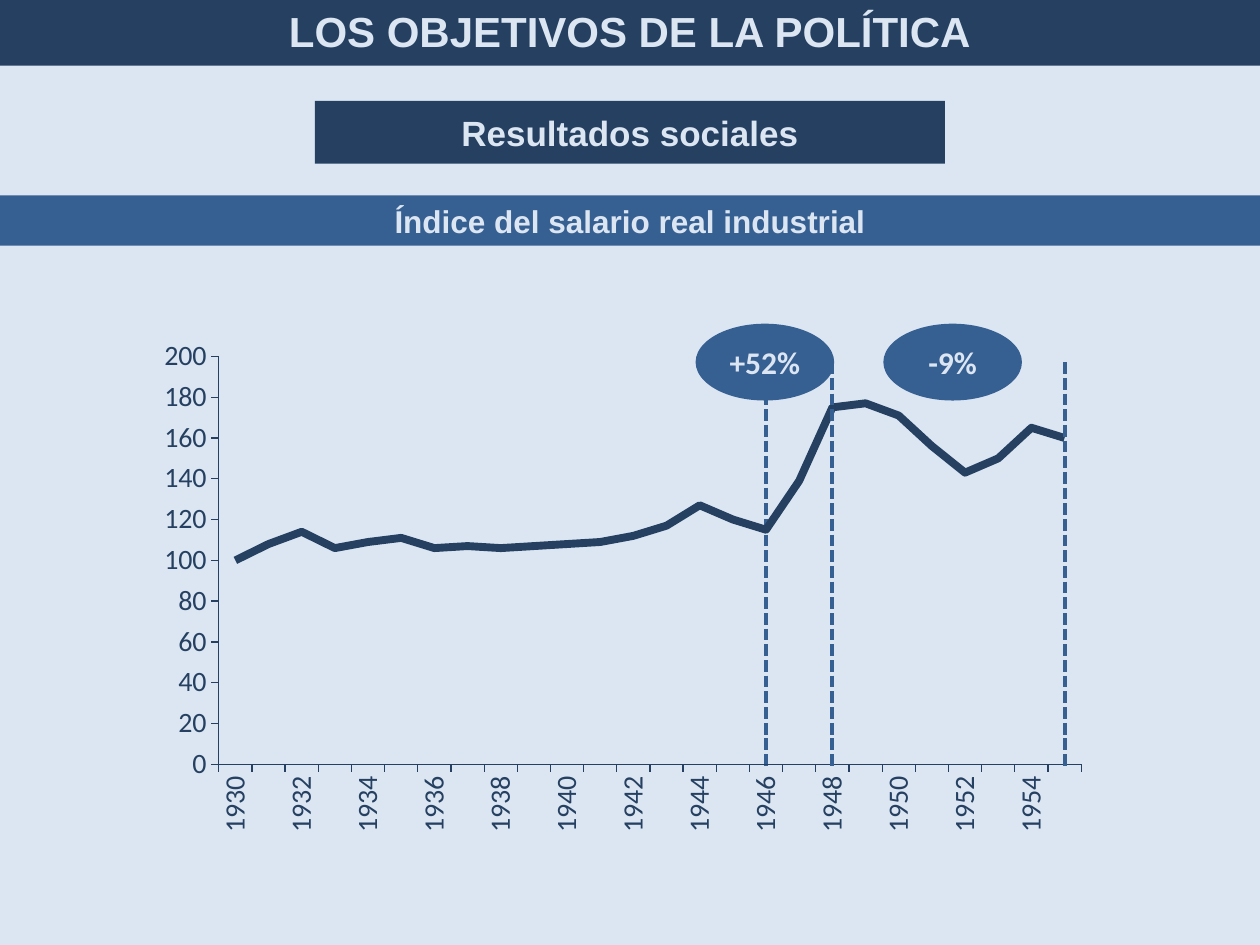
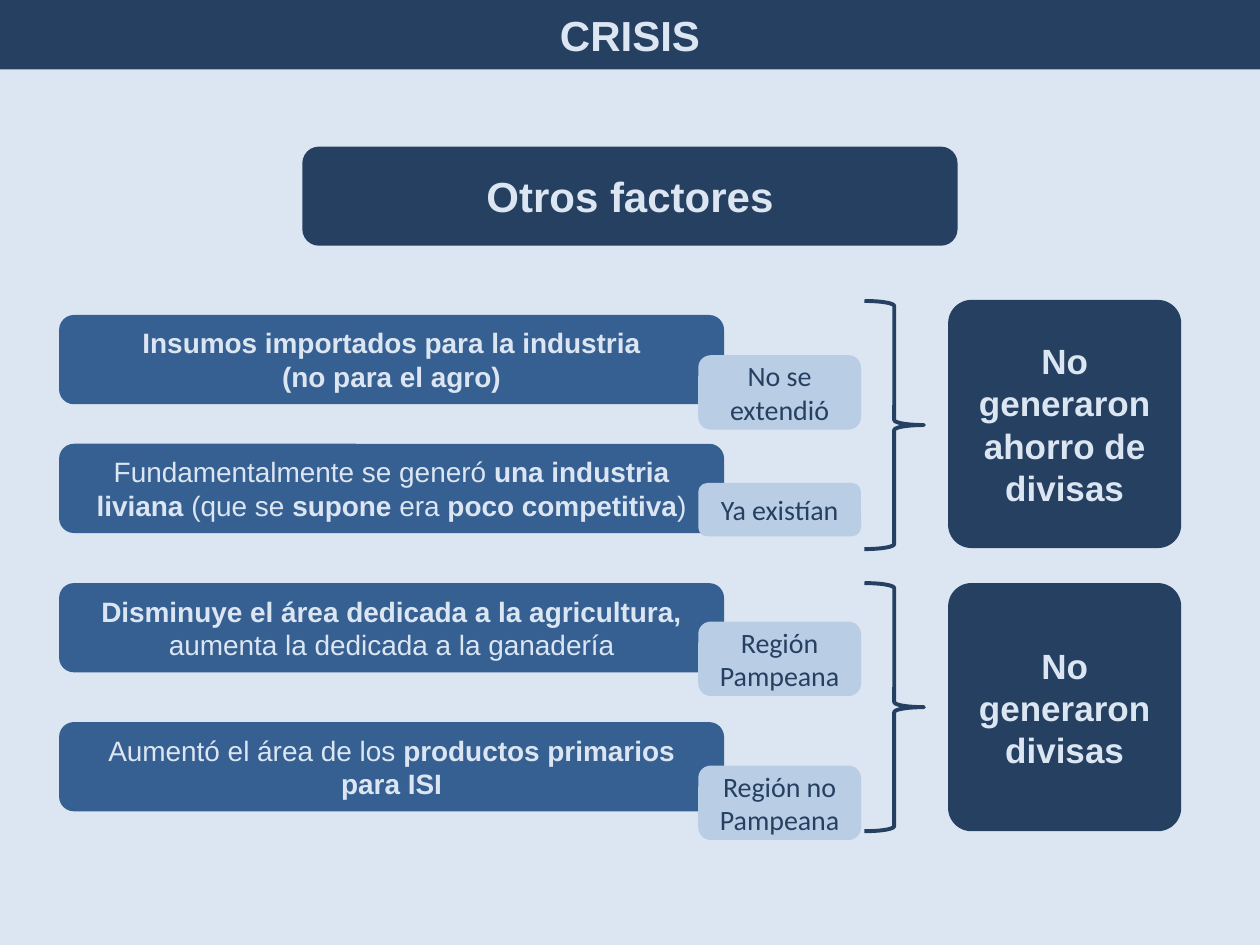
import pptx
import pptx.chart.data
import pptx.dml.color
import pptx.enum.chart
import pptx.enum.dml
import pptx.enum.shapes
import pptx.enum.text
import pptx.oxml
import pptx.oxml.ns
import pptx.util
from dataclasses import dataclass

Pt = pptx.util.Pt
Color = pptx.dml.color.RGBColor.from_string
Shape = pptx.enum.shapes.MSO_SHAPE


@dataclass(frozen=True)
class Theme:
    pale: Color = Color("DCE6F2")
    light: Color = Color("B9CDE5")
    mid: Color = Color("376092")
    dark: Color = Color("254061")
    heading: str = "Arial"
    body: str = "Calibri"
    title_size: int = 24
    box_size: int = 20
    label_size: int = 18
    text_size: int = 16
    line: float = 2.25


theme = Theme()


def write(shape, text, size, font=theme.heading, color=theme.pale, bold=True):
    """Fill a shape with centred text; *stars* switch bold on inside a line."""
    frame = shape.text_frame
    frame.word_wrap = True
    frame.vertical_anchor = pptx.enum.text.MSO_ANCHOR.MIDDLE
    for number, line in enumerate(text.split("\n")):
        para = frame.add_paragraph() if number else frame.paragraphs[0]
        para.alignment = pptx.enum.text.PP_ALIGN.CENTER
        para.font.name = font
        para.font.size = Pt(size)
        para.font.color.rgb = color
        parts = line.split("*")
        if len(parts) == 1:
            para.font.bold = bold
        for position, part in enumerate(parts):
            if part:
                span = para.add_run()
                span.text = part
                if len(parts) > 1:
                    span.font.bold = position % 2 == 1


def add_block(page, kind, left, top, width, height, fill):
    box = page.shapes.add_shape(kind, Pt(left), Pt(top), Pt(width), Pt(height))
    box.shadow.inherit = False
    box.fill.solid()
    box.fill.fore_color.rgb = fill
    box.line.fill.background()
    return box


deck = pptx.Presentation()
deck.slide_width, deck.slide_height = Pt(720), Pt(540)
deck.slide_master.background.fill.solid()
deck.slide_master.background.fill.fore_color.rgb = theme.pale

pages = []
for heading, top in (("LOS OBJETIVOS DE LA POLÍTICA", -2), ("CRISIS", 0)):
    page = deck.slides.add_slide(deck.slide_layouts[5])
    title = page.shapes.title
    title.left, title.top, title.width, title.height = Pt(0), Pt(top), Pt(720), Pt(39.6)
    title.fill.solid()
    title.fill.fore_color.rgb = theme.dark
    write(title, heading, theme.title_size)
    pages.append(page)
wage_page, crisis_page = pages

# Real wage index
banner = add_block(wage_page, Shape.RECTANGLE, 180, 57.6, 360, 36, theme.dark)
write(banner, "Resultados sociales", theme.box_size)
strip = add_block(wage_page, Shape.RECTANGLE, 0, 111.6, 720, 28.8, theme.mid)
write(strip, "Índice del salario real industrial", theme.label_size)

wages = [100, 108, 114, 106, 109, 111, 106, 107, 106, 107, 108, 109, 112,
         117, 127, 120, 115, 139, 175, 177, 171, 156, 143, 150, 165, 160]
first_year = 1930
chart_left, chart_top, chart_width, chart_height = 65.5, 187.2, 572.4, 323.3
plot = {"x": 0.104, "y": 0.051, "w": 0.861, "h": 0.721}

data = pptx.chart.data.CategoryChartData()
data.categories = [str(first_year + index) for index in range(len(wages))]
data.add_series("Salario real", wages)
chart_frame = wage_page.shapes.add_chart(
    pptx.enum.chart.XL_CHART_TYPE.LINE, Pt(chart_left), Pt(chart_top),
    Pt(chart_width), Pt(chart_height), data)
chart = chart_frame.chart
chart.has_legend = False
chart.has_title = False
chart.font.name = theme.body
chart.font.size = Pt(theme.text_size)
chart.font.color.rgb = theme.dark
chart.plots[0].vary_by_categories = False
series = chart.plots[0].series[0]
series.smooth = False
series.marker.style = pptx.enum.chart.XL_MARKER_STYLE.NONE
series.format.line.color.rgb = theme.dark
series.format.line.width = Pt(4.5)

for axis in (chart.category_axis, chart.value_axis):
    axis.has_major_gridlines = False
    axis.major_tick_mark = pptx.enum.chart.XL_TICK_MARK.OUTSIDE
    axis.format.line.color.rgb = theme.dark
    axis.format.line.width = Pt(0.75)
    axis.tick_labels.font.size = Pt(theme.text_size)
    axis.tick_labels.font.name = theme.body
    axis.tick_labels.font.color.rgb = theme.dark
chart.value_axis.minimum_scale = 0
chart.value_axis.maximum_scale = 200
chart.value_axis.major_unit = 20

qn = pptx.oxml.ns.qn
namespace = pptx.oxml.ns.nsdecls("c")
category_xml = chart.category_axis.format.line._ln.getparent().getparent()
category_xml.find(qn("c:txPr")).find(qn("a:bodyPr")).set("rot", "-5400000")
skip = pptx.oxml.parse_xml(f'<c:tickLblSkip {namespace} val="2"/>')
category_xml.find(qn("c:noMultiLvlLbl")).addprevious(skip)

plot_area = chart.plots[0]._element.getparent()
for old_layout in plot_area.findall(qn("c:layout")):
    plot_area.remove(old_layout)
sizes = "".join(f'<c:{key} val="{value}"/>' for key, value in plot.items())
plot_area.insert(0, pptx.oxml.parse_xml(
    f'<c:layout {namespace}><c:manualLayout><c:layoutTarget val="inner"/>'
    f'<c:xMode val="edge"/><c:yMode val="edge"/>{sizes}'
    '</c:manualLayout></c:layout>'))

markers = []
for year in (1946, 1948, 1955):
    share = (year - first_year + 0.5) / len(wages)
    x = round(chart_left + chart_width * (plot["x"] + plot["w"] * share), 1)
    marker = wage_page.shapes.add_connector(
        pptx.enum.shapes.MSO_CONNECTOR.STRAIGHT, Pt(x), Pt(207), Pt(x), Pt(438.3))
    marker.line.color.rgb = theme.mid
    marker.line.width = Pt(theme.line)
    marker.line.dash_style = pptx.enum.dml.MSO_LINE.SQUARE_DOT
    effects = pptx.oxml.parse_xml(f'<a:effectLst {pptx.oxml.ns.nsdecls("a")}/>')
    marker._element.spPr.append(effects)
    markers.append(marker)
# The 1946 marker runs behind the curve
chart_frame._element.addprevious(markers[0]._element)

for left, change in ((397.5, "+52%"), (504.8, "-9%")):
    bubble = add_block(wage_page, Shape.OVAL, left, 185, 79.2, 43.9, theme.mid)
    write(bubble, change, theme.label_size, theme.body)
    markers[1]._element.addprevious(bubble._element)

# Other factors of the crisis
banner = add_block(crisis_page, Shape.ROUNDED_RECTANGLE, 172.8, 83.8, 374.4, 56.6, theme.dark)
write(banner, "Otros factores", theme.title_size)

factors = [
    (180, "*Insumos importados para la industria*\n(no para el agro)",
     203, 42.5, "No se extendió"),
    (253.6, "Fundamentalmente se generó *una industria liviana *(que se *supone*"
     " era *poco competitiva*)", 276, 30.5, "Ya existían"),
    (333.2, "*Disminuye el área dedicada a la agricultura,* aumenta la dedicada"
     " a la ganadería", 355.2, 42.5, "Región Pampeana"),
    (412.6, "Aumentó el área de los *productos primarios para ISI*",
     437.5, 42.5, "Región no Pampeana"),
]
for top, factor, note_top, note_height, note in factors:
    bar = add_block(crisis_page, Shape.ROUNDED_RECTANGLE, 33.8, top, 380, 51, theme.mid)
    write(bar, factor, theme.text_size)
    tag = add_block(crisis_page, Shape.ROUNDED_RECTANGLE, 399, note_top, 93,
                    note_height, theme.light)
    write(tag, note, theme.text_size, theme.body, theme.dark, bold=False)

for top, brace_top, outcome in ((171.4, 172, "No generaron ahorro de divisas"),
                                (333.2, 333.2, "No generaron divisas")):
    brace = crisis_page.shapes.add_shape(
        Shape.RIGHT_BRACE, Pt(494), Pt(brace_top), Pt(34), Pt(141.8))
    brace.shadow.inherit = False
    brace.fill.background()
    brace.line.color.rgb = theme.dark
    brace.line.width = Pt(theme.line)
    result = add_block(crisis_page, Shape.ROUNDED_RECTANGLE, 541.8, top, 133.2, 141.8, theme.dark)
    result.adjustments[0] = 0.1
    write(result, outcome, theme.box_size)

deck.save("out.pptx")
